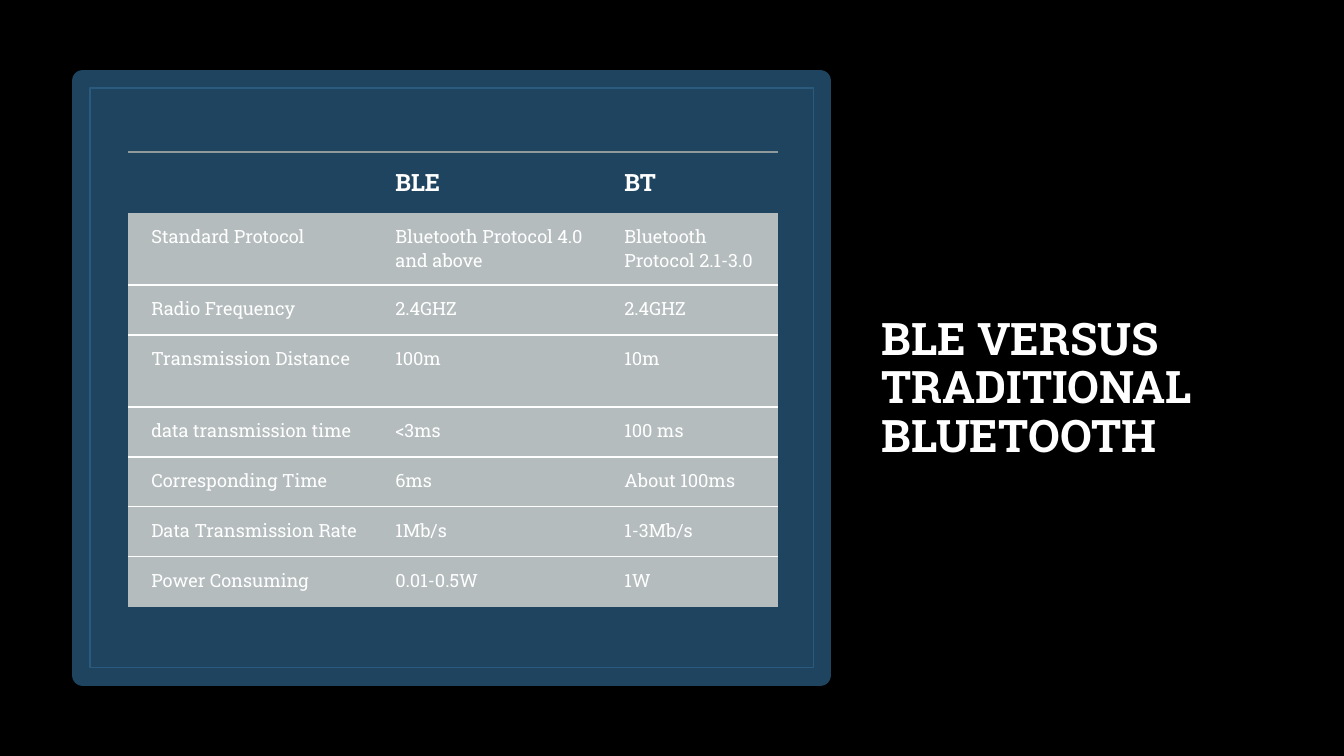
from lxml.etree import SubElement
from pptx import Presentation
from pptx.dml.color import RGBColor
from pptx.enum.shapes import MSO_SHAPE as Shape
from pptx.enum.text import MSO_ANCHOR as Anchor
from pptx.oxml.ns import qn
from pptx.util import Pt

BLACK = RGBColor(0x00, 0x00, 0x00)
WHITE = RGBColor(0xFF, 0xFF, 0xFF)
NAVY = RGBColor(0x1F, 0x44, 0x5F)
STEEL = RGBColor(0x2A, 0x5B, 0x7F)
RULE_GREY = RGBColor(0x8F, 0x9A, 0x9D)
CELL_GREY = RGBColor(0xB4, 0xBC, 0xBE)

FONT = "Roboto Slab"
NO_STYLE = "{2D5ABB26-0587-4C30-8999-92F81FD0307C}"

TITLE_FONT = {"name": FONT, "size": Pt(32), "bold": True}
HEADER_FONT = {"name": FONT, "size": Pt(17), "bold": True}
BODY_FONT = {"name": FONT, "size": Pt(13), "bold": False}

COLUMN_WIDTHS = (174.2, 163.6, 126.6)
HEADER_HEIGHT, ROW_HEIGHT, TALL_ROW_HEIGHT = 43.2, 35.7, 51.4
TALL_ROWS = ("Standard Protocol", "Transmission Distance")
COMPARISON = (
    ("", "BLE", "BT"),
    ("Standard Protocol", "Bluetooth Protocol 4.0 and above", "Bluetooth Protocol 2.1-3.0"),
    ("Radio Frequency", "2.4GHZ", "2.4GHZ"),
    ("Transmission Distance", "100m", "10m"),
    ("data transmission time", "<3ms", "100 ms"),
    ("Corresponding Time", "6ms", "About 100ms"),
    ("Data Transmission Rate", "1Mb/s", "1-3Mb/s"),
    ("Power Consuming", "0.01-0.5W", "1W"),
)


def apply_format(target, values):
    for name, value in values.items():
        setattr(target, name, value)


def write(frame, text, font):
    paragraph = frame.paragraphs[0]
    paragraph.text = text
    apply_format(paragraph.font, font)
    paragraph.font.color.rgb = WHITE
    return paragraph


def add_panel(slide, left, top, width, height, line_color, line_width, fill=None):
    panel = slide.shapes.add_shape(
        Shape.RECTANGLE, Pt(left), Pt(top), Pt(width), Pt(height))
    panel.shadow.inherit = False
    if fill is None:
        panel.fill.background()
    else:
        panel.fill.solid()
        panel.fill.fore_color.rgb = fill
    panel.line.color.rgb = line_color
    panel.line.width = Pt(line_width)


def add_title(slide, text):
    title = slide.shapes.add_textbox(Pt(622.8), Pt(57.6), Pt(282.2), Pt(275.8))
    apply_format(title.text_frame, {"word_wrap": True, "vertical_anchor": Anchor.BOTTOM})
    write(title.text_frame, text, TITLE_FONT).line_spacing = 0.9


def add_alpha(color, percent):
    SubElement(color, qn("a:alpha"), val=str(percent * 1000))


def add_rule(cell, edge, color, opacity=100):
    """Draw one cell edge, "lnT" or "lnB"; must come before the cell fill."""
    line = SubElement(cell._tc.get_or_add_tcPr(), qn(f"a:{edge}"), w=str(Pt(1.5)))
    solid = SubElement(line, qn("a:solidFill"))
    add_alpha(SubElement(solid, qn("a:srgbClr"), val=str(color)), opacity)


def format_header_cell(cell, text):
    add_rule(cell, "lnT", RULE_GREY, 60)
    cell.fill.background()
    write(cell.text_frame, text, HEADER_FONT)


def format_body_cell(cell, text, first, last):
    if not first:
        add_rule(cell, "lnT", WHITE)
    if not last:
        add_rule(cell, "lnB", WHITE)
    cell.fill.solid()
    cell.fill.fore_color.rgb = CELL_GREY
    add_alpha(cell._tc.tcPr.find(".//" + qn("a:srgbClr")), 35)
    write(cell.text_frame, text, BODY_FONT)


def set_margins(cell, padding):
    apply_format(cell, {
        "margin_left": Pt(16.8), "margin_right": Pt(padding),
        "margin_top": Pt(padding), "margin_bottom": Pt(padding)})


def row_height(index, label):
    if index == 0:
        return HEADER_HEIGHT
    return TALL_ROW_HEIGHT if label in TALL_ROWS else ROW_HEIGHT


def add_comparison(slide):
    heights = [row_height(i, row[0]) for i, row in enumerate(COMPARISON)]
    table = slide.shapes.add_table(
        len(COMPARISON), len(COLUMN_WIDTHS), Pt(91.4), Pt(108.8),
        Pt(sum(COLUMN_WIDTHS)), Pt(sum(heights))).table
    apply_format(table, {"first_row": True, "horz_banding": False})
    table._tbl.tblPr.find(qn("a:tableStyleId")).text = NO_STYLE
    for column, width in zip(table.columns, COLUMN_WIDTHS):
        column.width = Pt(width)

    last_row = len(COMPARISON) - 1
    for r, (texts, height) in enumerate(zip(COMPARISON, heights)):
        table.rows[r].height = Pt(height)
        for cell, text in zip(table.rows[r].cells, texts):
            set_margins(cell, 10 if r == 0 else 8.6)
            if r == 0:
                format_header_cell(cell, text)
            else:
                format_body_cell(cell, text, r == 1, r == last_row)


def main():
    deck = Presentation()
    apply_format(deck, {"slide_width": Pt(960), "slide_height": Pt(540)})
    slide = deck.slides.add_slide(deck.slide_layouts[6])
    slide.background.fill.solid()
    slide.background.fill.fore_color.rgb = BLACK

    add_title(slide, "BLE VERSUS TRADITIONAL BLUETOOTH")
    add_panel(slide, 59, 57.6, 527, 424.8, NAVY, 15, fill=NAVY)
    add_panel(slide, 64.2, 62.8, 517, 414.2, STEEL, 1)
    add_comparison(slide)
    deck.save("out.pptx")


if __name__ == "__main__":
    main()
